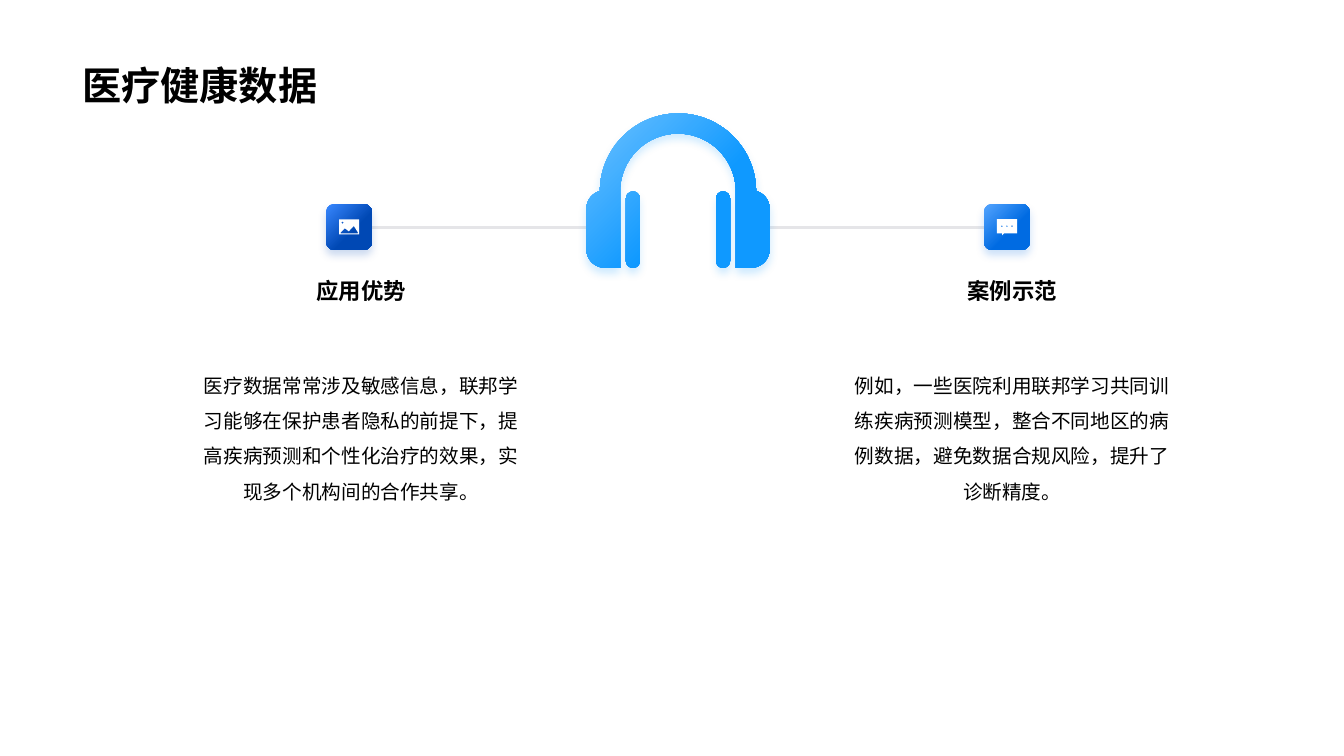
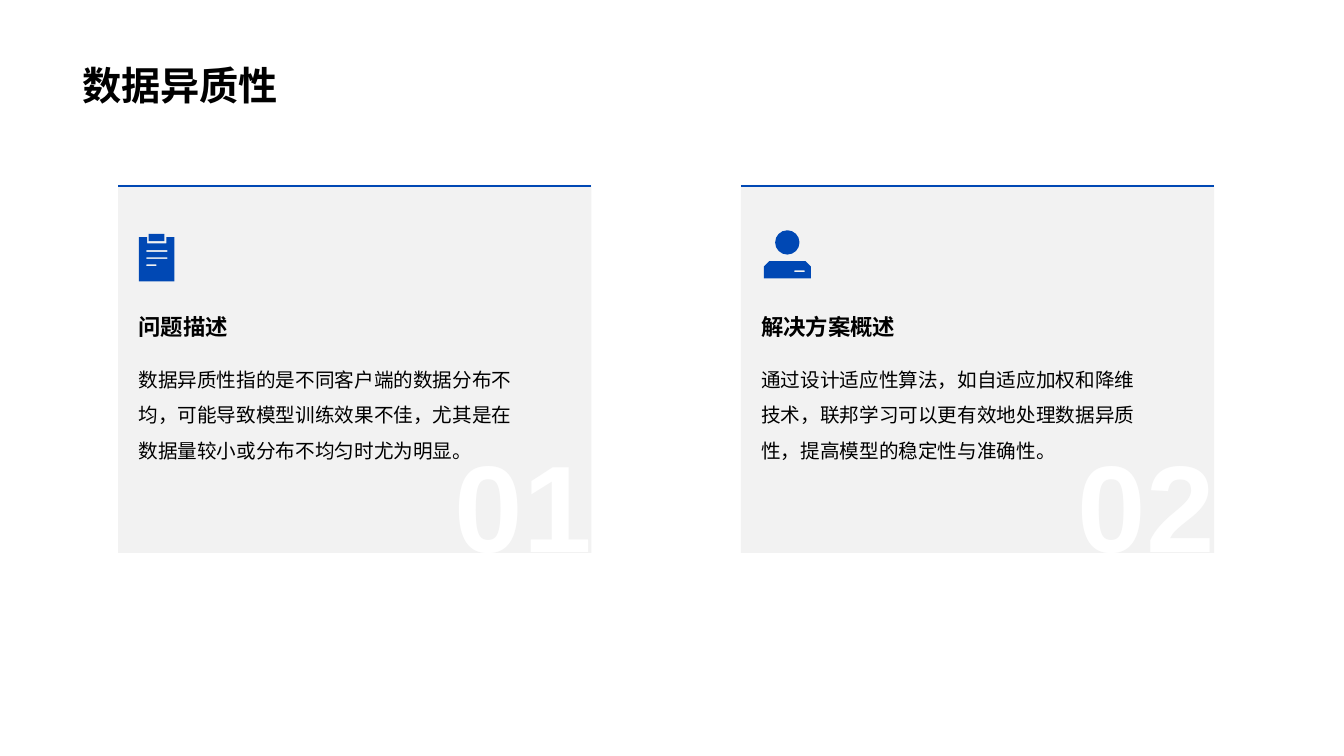
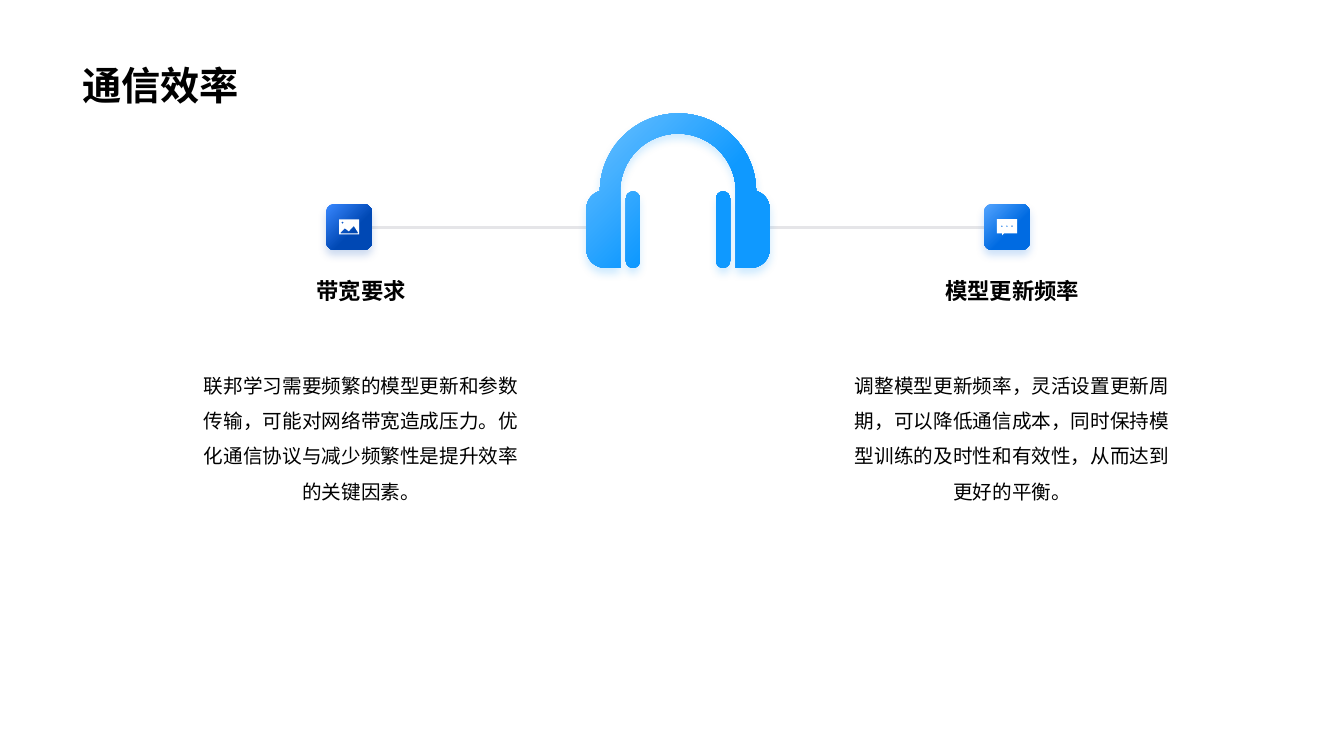
from math import ceil, cos, radians, sin, tan

from lxml import etree
from pptx import Presentation
from pptx.dml.color import RGBColor
from pptx.enum.shapes import MSO_CONNECTOR, MSO_SHAPE
from pptx.enum.text import MSO_ANCHOR, PP_ALIGN
from pptx.oxml.ns import qn
from pptx.util import Pt

LINE = MSO_CONNECTOR.STRAIGHT
RECT, ROUNDED = MSO_SHAPE.RECTANGLE, MSO_SHAPE.ROUNDED_RECTANGLE
TOP, MIDDLE, BOTTOM = MSO_ANCHOR.TOP, MSO_ANCHOR.MIDDLE, MSO_ANCHOR.BOTTOM
LEFT, CENTER = PP_ALIGN.LEFT, PP_ALIGN.CENTER

COLORS = {
    "text": "000000", "white": "FFFFFF", "card": "F2F2F2", "wire": "E5E5E8",
    "navy": "0048B4", "navy_light": "3988FF",
    "blue": "006BE2", "blue_light": "55A5FF",
    "sky": "0F99FF", "sky_light": "6FC2FF",
}
CJK = "Noto Sans CJK SC"
STYLES = {
    "title": {"name": CJK, "size": Pt(28), "bold": True},
    "heading": {"name": CJK, "size": Pt(16), "bold": True},
    "body": {"name": CJK, "size": Pt(14), "bold": False},
    "number": {"name": "Arial", "size": Pt(88), "bold": True},
}
SPACING = {"heading": Pt(20.5), "body": Pt(25.2)}


def rgb(key):
    """Return the named colour."""
    return RGBColor.from_string(COLORS[key])


def box_pts(left, top, right, bottom):
    """Return the corners of a rectangle as (x, y, is_control) points."""
    return corners((left, top), (right, top), (right, bottom), (left, bottom))


def corners(*pts):
    """Mark plain points as anchors rather than curve controls."""
    return [(x, y, False) for x, y in pts]


def arc_pts(cx, cy, radius, start, end):
    """Return anchors and curve controls of an arc, clockwise degrees from the right."""
    steps = ceil(abs(end - start) / 90)
    step = radians((end - start) / steps)
    pull = radius * tan(step / 4) * 4 / 3

    def at(angle, shift, is_control):
        """Return a point on the circle, moved along its tangent."""
        return (cx + radius * cos(angle) - shift * sin(angle),
                cy + radius * sin(angle) + shift * cos(angle), is_control)

    pts = [at(radians(start), 0, False)]
    for i in range(steps):
        a = radians(start) + i * step
        pts += [at(a, pull, True), at(a + step, -pull, True), at(a + step, 0, False)]
    return pts


def circle_pts(cx, cy, radius):
    """Return the points of a circle."""
    return arc_pts(cx, cy, radius, 0, 360)


def paint(sp, color):
    """Give a shape a flat fill, no outline and no shadow."""
    sp.fill.solid()
    sp.fill.fore_color.rgb = rgb(color)
    sp.line.fill.background()
    sp.shadow.inherit = False


def paint_glow(sp, color):
    """Give a shape a diagonal gradient and a soft shadow of the same hue."""
    paint(sp, color)
    sp.fill.gradient()
    sp.fill.gradient_angle = 315
    stops = ((color + "_light", 0), (color, 0.6))
    for stop, (key, position) in zip(sp.fill.gradient_stops, stops):
        stop.color.rgb = rgb(key)
        stop.position = position
    effects = sp._element.spPr.find(qn("a:effectLst"))
    shadow = etree.SubElement(effects, qn("a:outerShdw"), blurRad=str(Pt(6)),
                              dist=str(Pt(4)), dir="5400000", algn="t", rotWithShape="0")
    clr = etree.SubElement(shadow, qn("a:srgbClr"), val=COLORS[color])
    etree.SubElement(clr, qn("a:alpha"), val="20000")


def bend_curves(sp, contours):
    """Merge each pair of controls and their anchor into a cubic curve."""
    outline = next(sp._element.iter(qn("a:path")))
    steps = [el for el in outline if el.tag != qn("a:close")]
    controls = [pt[2] for pts in contours for pt in pts]
    i = 0
    while i < len(steps):
        if controls[i]:
            curve = etree.Element(qn("a:cubicBezTo"))
            steps[i].addprevious(curve)
            for el in steps[i:i + 3]:
                curve.append(el[0])
                outline.remove(el)
            i += 2
        i += 1


def add_outline(shapes, x, y, contours):
    """Build one freeform from contours placed relative to a corner."""
    placed = [[(Pt(x + px), Pt(y + py)) for px, py, _ in pts] for pts in contours]
    builder = shapes.build_freeform(*placed[0][0])
    builder.add_line_segments(placed[0][1:], close=True)
    for pts in placed[1:]:
        builder.move_to(*pts[0])
        builder.add_line_segments(pts[1:], close=True)
    sp = builder.convert_to_shape()
    bend_curves(sp, contours)
    return sp


def add_line(s, x1, x2, y, color, width):
    """Draw a horizontal line without a shadow."""
    sp = s.shapes.add_connector(LINE, Pt(x1), Pt(y), Pt(x2), Pt(y))
    sp.line.color.rgb = rgb(color)
    sp.line.width = Pt(width)
    etree.SubElement(sp._element.spPr, qn("a:effectLst"))


def add_text(s, box, text, style, color="text", align=LEFT, anchor=TOP, wrap=True):
    """Write one styled paragraph in a box."""
    tf = s.shapes.add_textbox(*map(Pt, box)).text_frame
    tf.word_wrap = wrap
    tf.vertical_anchor = anchor
    p = tf.paragraphs[0]
    p.alignment = align
    if style in SPACING:
        p.line_spacing = SPACING[style]
    r = p.add_run()
    r.text = text
    for key, value in STYLES[style].items():
        setattr(r.font, key, value)
    r.font.color.rgb = rgb(color)
    etree.SubElement(r._r.rPr, qn("a:ea"), typeface=STYLES[style]["name"])


def add_headphones(s, x, y):
    """Draw the headphones, mirrored about their middle."""
    mid, ear, foot = 65.5, 56, 110.5
    half = (arc_pts(mid, ear, 55.8, -90, -1) + arc_pts(117.6, 68.5, 13.4, -75, 0)
            + arc_pts(117.6, 97.1, 13.4, 0, 90) + corners((mid + 41.4, foot))
            + arc_pts(mid, ear, 41.4, 0, -90))
    pad = (arc_pts(mid + 32.2, ear + 5, 5, 180, 360)
           + arc_pts(mid + 32.2, foot - 5, 5, 0, 180))

    def mirror(pts):
        """Reflect points left to right, in reverse order."""
        return [(2 * mid - px, py, control) for px, py, control in reversed(pts)]

    paint_glow(add_outline(s.shapes, x, y, [half + mirror(half), pad, mirror(pad)]), "sky")


def photo_icon():
    """Return the contours of a photo with hills and a sun."""
    hills = corners((19.8, 15.6), (16.2, 19.4), (13.4, 17.3), (10.4, 20.2),
                    (10.4, 20.9), (22.7, 20.9), (22.7, 20.2))
    return [box_pts(9.2, 10.8, 23.6, 21.6), hills, circle_pts(11.7, 13.2, 0.9)]


def chat_icon():
    """Return the contours of a speech bubble with three dots."""
    bubble = corners((9.2, 10.8), (23.6, 10.8), (23.6, 20.9), (14.3, 20.9),
                     (12.9, 22.3), (12.9, 20.9), (9.2, 20.9))
    return [bubble] + [circle_pts(16.4 + dx, 15.8, 0.7) for dx in (-3.6, 0, 3.6)]


def clipboard_icon():
    """Return the contours of a clipboard with three lines."""
    board = corners((14.8, 37.4), (20.8, 37.4), (20.8, 41.8), (34.4, 41.8),
                    (34.4, 37.4), (40.2, 37.4), (40.2, 69), (14.8, 69))
    rows = [box_pts(20.2, y, right, y + 1.2)
            for y, right in ((46.7, 35.2), (51.8, 35.2), (56.9, 27.4))]
    return [board, box_pts(21.8, 35, 33.1, 40.3)] + rows


def person_icon():
    """Return the contours of a person with a badge."""
    body = corners((20.2, 54.6), (46.1, 54.6), (49.9, 58.3), (49.9, 66.8),
                   (16.4, 66.8), (16.4, 58.3))
    return [circle_pts(33.1, 41.2, 8.7), body, box_pts(38.2, 61.2, 45.4, 62.4)]


def add_tile(s, x, y, color, icon):
    """Group a rounded tile and its white icon."""
    shapes = s.shapes.add_group_shape().shapes
    paint_glow(shapes.add_shape(ROUNDED, Pt(x), Pt(y), Pt(32.7), Pt(32.7)), color)
    paint(add_outline(shapes, x, y, icon), "white")


def add_column(s, x, y, heading, body):
    """Write a centred heading above its text."""
    add_text(s, (x, y, 250, 26.6), heading, "heading", align=CENTER)
    add_text(s, (x, y + 61.9, 250, 132), body, "body", align=CENTER)


def add_card(s, x, y, number, icon, heading, body):
    """Draw a numbered card with an icon, a heading and text."""
    width, height = 338, 263
    paint(s.shapes.add_shape(RECT, Pt(x), Pt(y), Pt(width), Pt(height)), "card")
    add_text(s, (x + 7.4, y + 87.3, 285, 26.6), heading, "heading", anchor=MIDDLE)
    add_text(s, (x + 7.4, y + 118.8, 285, 106), body, "body")
    add_text(s, (x + 233.3, y + 170.8, 113.8, 113.8), number, "number", "white", wrap=False)
    add_line(s, x, x + width, y + 0.9, "navy", 2)
    paint(add_outline(s.shapes, x, y, icon), "navy")


def add_titled_slide(prs, title):
    """Add a blank slide with the shared title."""
    s = prs.slides.add_slide(prs.slide_layouts[6])
    add_text(s, (51.8, 0, 855, 80.7), title, "title", anchor=BOTTOM)
    return s


def hub_slide(prs, title, columns):
    """Build a slide with headphones wired to two columns."""
    s = add_titled_slide(prs, title)
    for x1, x2 in ((247.7, 432.7), (549.4, 735.1)):
        add_line(s, x1, x2, 162.3, "wire", 2.25)
    add_headphones(s, 418.8, 80.8)
    add_tile(s, 233, 145.8, "navy", photo_icon())
    add_tile(s, 702.9, 145.8, "blue", chat_icon())
    for x, column in zip((133, 598), columns):
        add_column(s, x, 193.2, *column)


def cards_slide(prs, title, cards):
    """Build a slide with two numbered cards."""
    s = add_titled_slide(prs, title)
    for i, card in enumerate(cards):
        add_card(s, 84.4 + 444.9 * i, 132, f"{i + 1:02}", *card)


def main():
    """Build and save the deck."""
    prs = Presentation()
    prs.slide_width, prs.slide_height = Pt(960), Pt(540)
    hub_slide(prs, "医疗健康数据", [
        ("应用优势", "医疗数据常常涉及敏感信息，联邦学习能够在保护患者隐私的前提下，"
                 "提高疾病预测和个性化治疗的效果，实现多个机构间的合作共享。"),
        ("案例示范", "例如，一些医院利用联邦学习共同训练疾病预测模型，"
                 "整合不同地区的病例数据，避免数据合规风险，提升了诊断精度。"),
    ])
    cards_slide(prs, "数据异质性", [
        (clipboard_icon(), "问题描述",
         "数据异质性指的是不同客户端的数据分布不均，可能导致模型训练效果不佳，"
         "尤其是在数据量较小或分布不均匀时尤为明显。"),
        (person_icon(), "解决方案概述",
         "通过设计适应性算法，如自适应加权和降维技术，"
         "联邦学习可以更有效地处理数据异质性，提高模型的稳定性与准确性。"),
    ])
    hub_slide(prs, "通信效率", [
        ("带宽要求", "联邦学习需要频繁的模型更新和参数传输，可能对网络带宽造成压力。"
                 "优化通信协议与减少频繁性是提升效率的关键因素。"),
        ("模型更新频率", "调整模型更新频率，灵活设置更新周期，可以降低通信成本，"
                   "同时保持模型训练的及时性和有效性，从而达到更好的平衡。"),
    ])
    prs.save("out.pptx")


if __name__ == "__main__":
    main()
